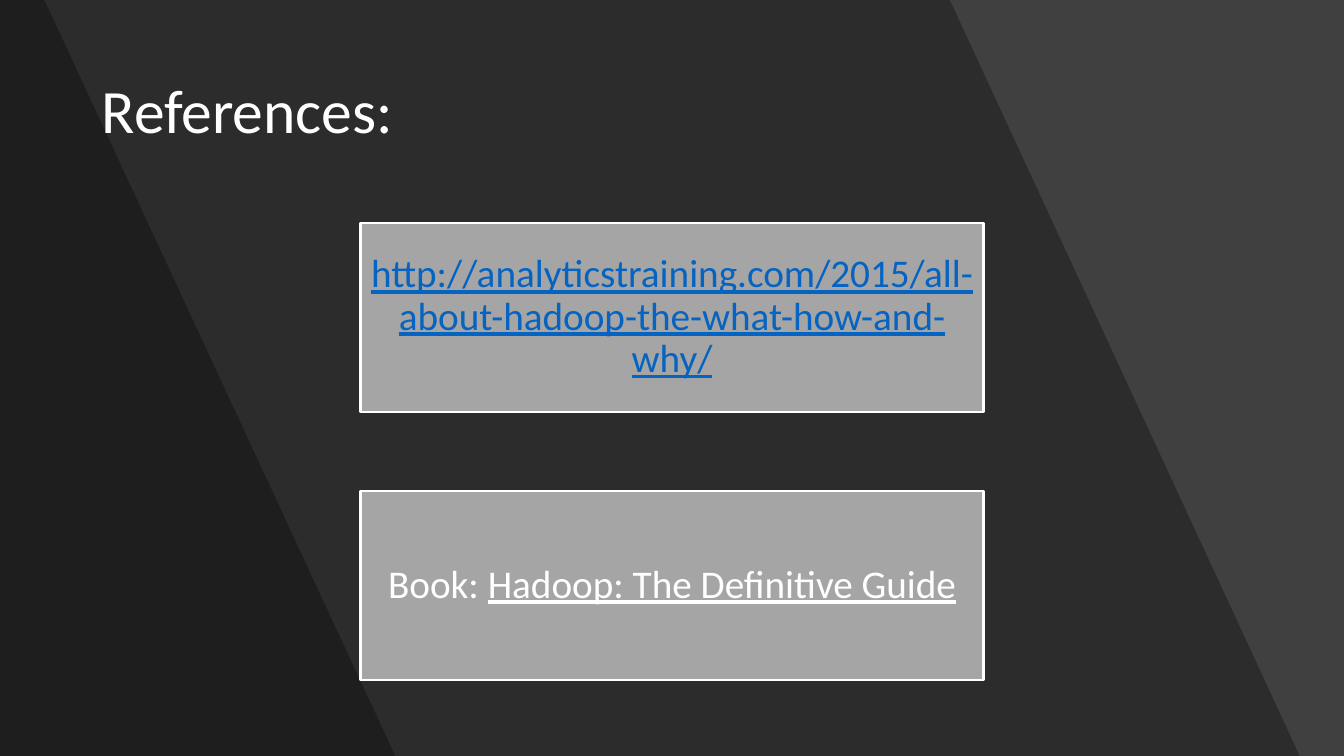
from lxml import etree
from pptx import Presentation
from pptx.dml.color import RGBColor
from pptx.enum.shapes import MSO_SHAPE
from pptx.enum.text import MSO_ANCHOR, MSO_AUTO_SIZE, PP_ALIGN
from pptx.oxml.ns import qn
from pptx.util import Inches, Pt

# Content: each reference is a list of (text, colour, underlined)
TITLE = "References:"
REFERENCES = [
    [("http://analyticstraining.com/2015/all-about-hadoop-the-what-how-and-why/", "link", True)],
    [("Book: ", "white", False), ("Hadoop: The Definitive Guide", "white", True)],
]

# Style and layout, in inches
COLORS = {"background": "404040", "shade": "000000", "card": "A5A5A5",
          "white": "FFFFFF", "link": "0563C1"}
FONT = "Calibri"
WIDTH, HEIGHT = 13.33, 7.5
SHADE_EDGES = [(9.42, 12.89), (0.44, 3.92)]  # right edge at top and bottom
SHADE_OPACITY = 30
TITLE_BOX = (0.91, 0.4, 11.51, 1.45)
CARD_WIDTH, CARD_HEIGHT = 6.18, 1.88
CARD_TOP, CARD_PITCH = 2.21, 2.66
CARD_INSET = 0.02


def color(name):
    return RGBColor.from_string(COLORS[name])


def add_shade(slide, top_edge, bottom_edge):
    corners = [(top_edge, 0), (bottom_edge, HEIGHT), (0, HEIGHT)]
    builder = slide.shapes.build_freeform(0, 0)
    builder.add_line_segments([(Inches(x), Inches(y)) for x, y in corners], close=True)
    shade = builder.convert_to_shape()
    shade.shadow.inherit = False
    shade.line.fill.background()
    shade.fill.solid()
    shade.fill.fore_color.rgb = color("shade")
    fill_color = shade.fill._xPr.find(qn("a:solidFill"))[0]
    etree.SubElement(fill_color, qn("a:alpha")).set("val", str(SHADE_OPACITY * 1000))


def write_line(frame, spans, size, alignment):
    frame.word_wrap = True
    frame.auto_size = MSO_AUTO_SIZE.NONE
    frame.vertical_anchor = MSO_ANCHOR.MIDDLE
    para = frame.paragraphs[0]
    para.alignment = alignment
    para.line_spacing = 0.9
    para.space_before = Pt(0)
    for text, color_name, underlined in spans:
        span = para.add_run()
        span.text = text
        span.font.name = FONT
        span.font.size = Pt(size)
        span.font.color.rgb = color(color_name)
        span.font.underline = underlined


def add_card(slide, row, spans):
    card = slide.shapes.add_shape(
        MSO_SHAPE.RECTANGLE, Inches((WIDTH - CARD_WIDTH) / 2),
        Inches(CARD_TOP + row * CARD_PITCH), Inches(CARD_WIDTH), Inches(CARD_HEIGHT))
    card.shadow.inherit = False
    card.fill.solid()
    card.fill.fore_color.rgb = color("card")
    card.line.color.rgb = color("white")
    card.line.width = Pt(1.5)
    frame = card.text_frame
    frame.margin_left = frame.margin_right = Inches(CARD_INSET)
    frame.margin_top = frame.margin_bottom = Inches(CARD_INSET)
    write_line(frame, spans, 28, PP_ALIGN.CENTER)


def main():
    deck = Presentation()
    deck.slide_width, deck.slide_height = Inches(WIDTH), Inches(HEIGHT)
    slide = deck.slides.add_slide(deck.slide_layouts.get_by_name("Title Only"))

    # Background with slanted shades
    slide.background.fill.solid()
    slide.background.fill.fore_color.rgb = color("background")
    for top_edge, bottom_edge in SHADE_EDGES:
        add_shade(slide, top_edge, bottom_edge)

    # Title, brought in front of the shades
    title = slide.shapes.title
    title.left, title.top, title.width, title.height = map(Inches, TITLE_BOX)
    write_line(title.text_frame, [(TITLE, "white", False)], 44, PP_ALIGN.LEFT)
    slide.shapes._spTree.append(title._element)

    # Reference cards
    for row, spans in enumerate(REFERENCES):
        add_card(slide, row, spans)

    deck.save("out.pptx")


if __name__ == "__main__":
    main()
